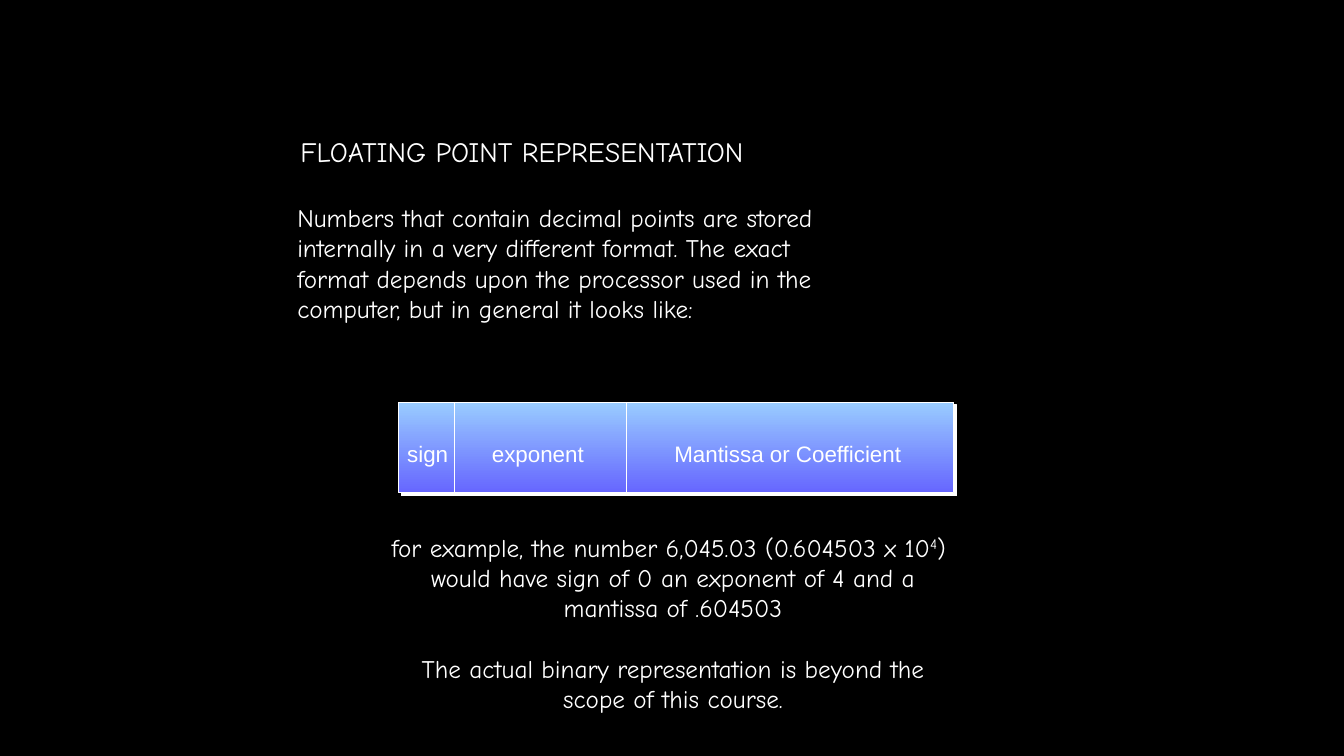
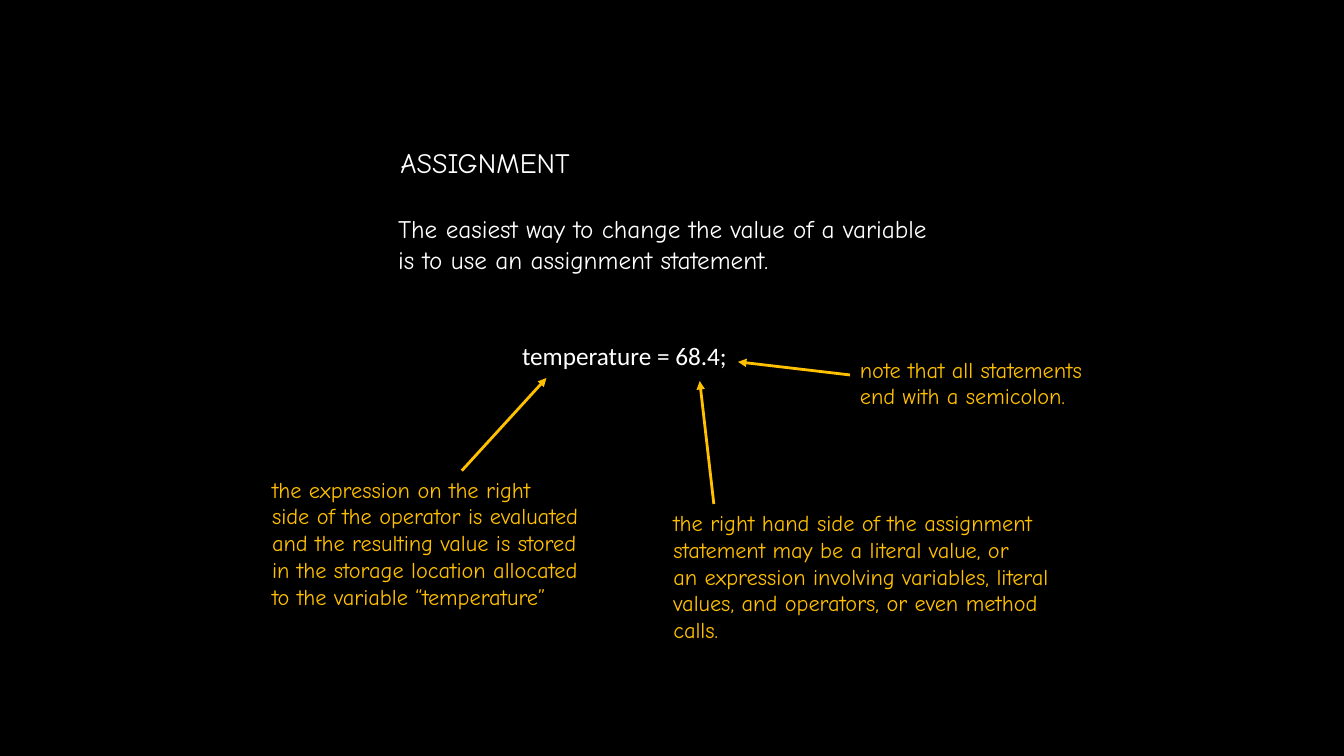
"""Build two programming slides: floating point format and assignment."""
from lxml.etree import SubElement
from pptx import Presentation
from pptx.dml.color import RGBColor
from pptx.enum.shapes import MSO_CONNECTOR, MSO_SHAPE
from pptx.enum.text import MSO_ANCHOR, MSO_AUTO_SIZE, PP_ALIGN
from pptx.oxml.ns import qn
from pptx.util import Pt

PX = 9144
COLORS = {"back": "000000", "text": "FFFFFF", "note": "FFC000",
          "top": "99CCFF", "base": "6666FF"}
HAND = "Comic Neue"


def px(*sizes):
    return [size * PX for size in sizes]


def color(name):
    return RGBColor.from_string(COLORS[name])


def write(frame, text, font=HAND, size=18, ink="text", align=PP_ALIGN.LEFT, gap=None):
    lines = text.split("\n")
    for row, line in enumerate(lines):
        para = frame.paragraphs[0] if row == 0 else frame.add_paragraph()
        para.alignment = align
        if row == gap:
            para.space_before = Pt(21.6)
        for part, words in enumerate(line.split("^")):
            run = para.add_run()
            run.text = words
            run.font.name = font
            run.font.size = Pt(size)
            run.font.color.rgb = color(ink)
            if part % 2:
                run.font._element.set("baseline", "30000")


def new_slide(deck, title, box):
    slide = deck.slides.add_slide(deck.slide_layouts.get_by_name("Title Only"))
    head = slide.shapes.title
    head.left, head.top, head.width, head.height = px(*box)
    head.text_frame.vertical_anchor = MSO_ANCHOR.MIDDLE
    write(head.text_frame, title, size=20)
    return slide


def add_text(slide, box, text, **style):
    frame = slide.shapes.add_textbox(*px(*box)).text_frame
    frame.word_wrap = False
    frame.auto_size = MSO_AUTO_SIZE.SHAPE_TO_FIT_TEXT
    write(frame, text, **style)


def add_line(slide, ends, ink="text", width=0.75, arrow=False):
    line = slide.shapes.add_connector(MSO_CONNECTOR.STRAIGHT, *px(*ends))
    line.line.color.rgb = color(ink)
    line.line.width = Pt(width)
    if arrow:
        SubElement(line.line._get_or_add_ln(), qn("a:tailEnd"), type="triangle")
    SubElement(line._element.spPr, qn("a:effectLst"))


def add_bar(slide, box):
    bar = slide.shapes.add_shape(MSO_SHAPE.RECTANGLE, *px(*box))
    bar.fill.gradient()
    bar.fill.gradient_angle = 270
    for stop, name, spot in zip(bar.fill.gradient_stops, ("top", "base"), (0, 1)):
        stop.color.rgb = color(name)
        stop.position = spot
    bar.line.color.rgb = color("text")
    bar.line.width = Pt(0.75)
    bar.shadow.inherit = False
    effects = bar._element.spPr.find(qn("a:effectLst"))
    shade = SubElement(effects, qn("a:outerShdw"), blurRad="0", dist=str(Pt(2.8)),
                       dir="2700000", algn="ctr", rotWithShape="0")
    SubElement(shade, qn("a:srgbClr"), val=COLORS["text"])


def float_slide(deck):
    slide = new_slide(deck, "FLOATING POINT REPRESENTATION", (288, 94, 613, 112))
    add_text(slide, (285, 196, 592, 131),
             "Numbers that contain decimal points are stored\n"
             "internally in a very different format. The exact\n"
             "format depends upon the processor used in the\n"
             "computer, but in general it looks like:")
    top, height = 399, 90
    add_bar(slide, (395, top, 551, height))
    for x in (451, 621):
        add_line(slide, (x, top, x, top + height))
    for x, width, label in ((394, 61, "sign"), (478, 111, "exponent"),
                            (659, 246, "Mantissa or Coefficient")):
        add_text(slide, (x, 432, width, 37), label, font="Arial", size=16)
    add_text(slide, (351, 523, 633, 190),
             "for example, the number 6,045.03 (0.604503 x 10^4^) \n"
             "would have sign of 0 an exponent of 4 and a\n"
             "mantissa of .604503\n"
             "The actual binary representation is beyond the\n"
             "scope of this course.", align=PP_ALIGN.CENTER, gap=3)


def assign_slide(deck):
    slide = new_slide(deck, "ASSIGNMENT", (387, 121, 267, 80))
    add_text(slide, (385, 207, 599, 71),
             "The easiest way to change the value of a variable\n"
             "is to use an assignment statement.")
    add_text(slide, (508, 333, 226, 40), "temperature = 68.4;", font="Calibri")
    notes = (
        ((843, 348, 272, 64), (843, 372, 732, 359),
         "note that all statements\n"
         "end with a semicolon."),
        ((658, 500, 430, 144), (708, 500, 694, 378),
         "the right hand side of the assignment\n"
         "statement may be a literal value, or\n"
         "an expression involving variables, literal\n"
         "values, and operators, or even method\n"
         "calls."),
        ((260, 467, 360, 144), (458, 467, 542, 375),
         "the expression on the right\n"
         "side of the operator is evaluated\n"
         "and the resulting value is stored\n"
         "in the storage location allocated\n"
         "to the variable “temperature”"),
    )
    for box, ends, text in notes:
        add_text(slide, box, text, size=16, ink="note")
        add_line(slide, ends, ink="note", width=2, arrow=True)


def main():
    deck = Presentation()
    deck.slide_width, deck.slide_height = px(1333, 750)
    back = deck.slide_master.background.fill
    back.solid()
    back.fore_color.rgb = color("back")
    float_slide(deck)
    assign_slide(deck)
    deck.save("out.pptx")


if __name__ == "__main__":
    main()
